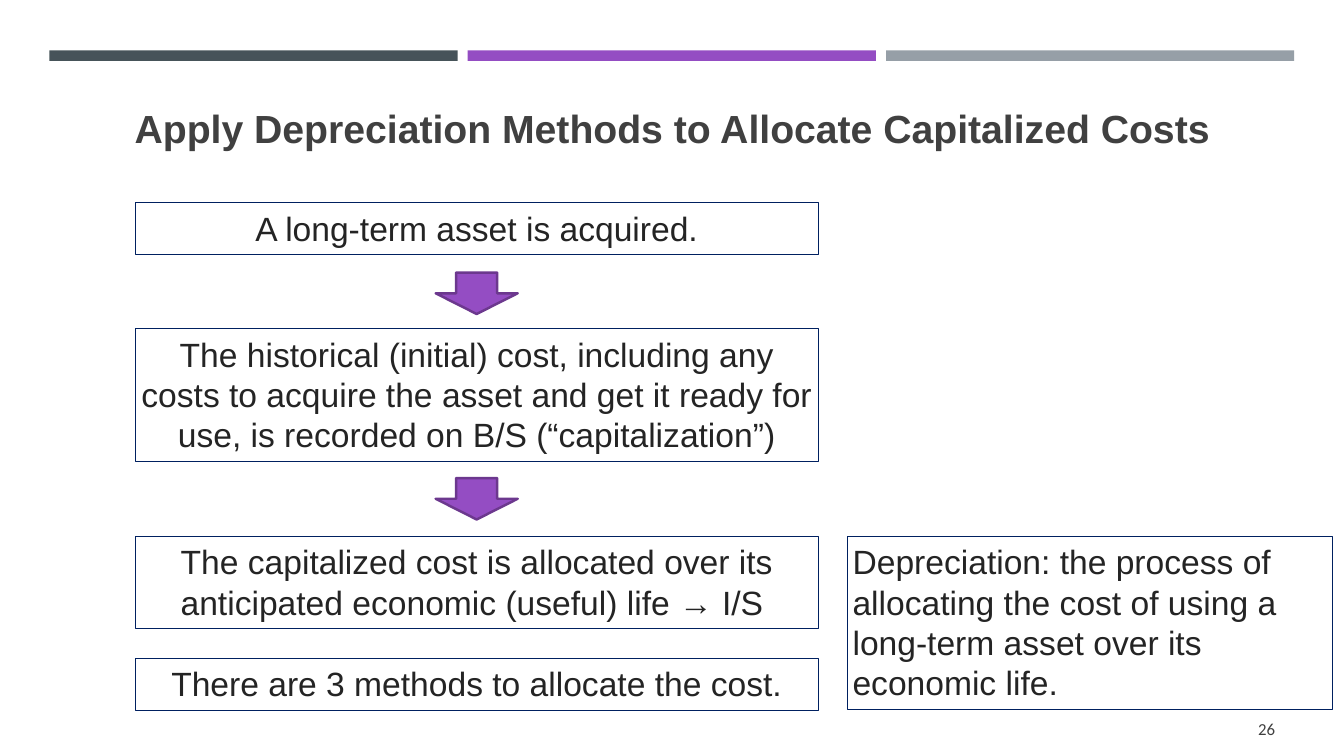
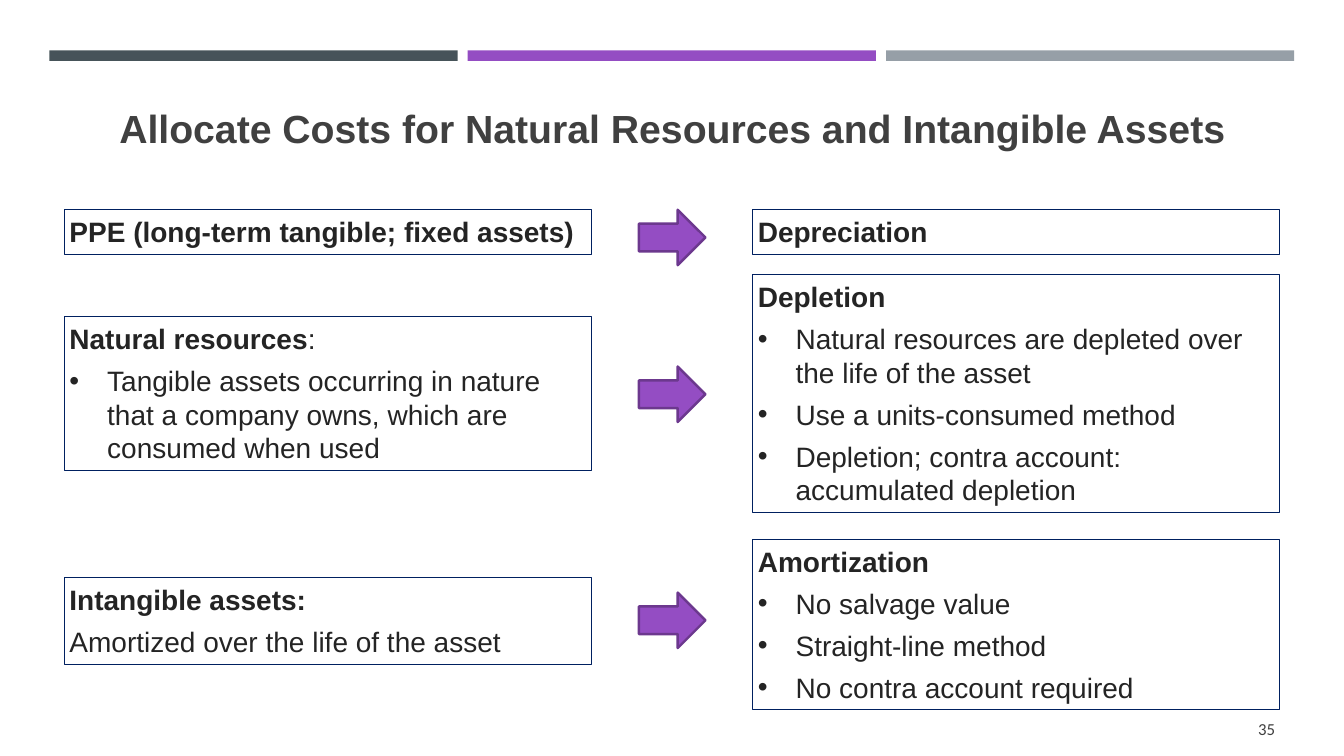
from lxml.etree import SubElement
from pptx import Presentation
from pptx.dml.color import RGBColor
from pptx.enum.shapes import MSO_SHAPE
from pptx.enum.text import MSO_ANCHOR, PP_ALIGN
from pptx.oxml.ns import qn
from pptx.util import Pt

HUES = {
    "slate": "465359", "purple": "944DC3", "gray": "969FA7",
    "plum": "6C388E", "navy": "002060", "title": "404040", "ink": "242424",
}
PAD = 3.6
LEFT, CENTER, RIGHT = PP_ALIGN.LEFT, PP_ALIGN.CENTER, PP_ALIGN.RIGHT


def hue(name):
    return RGBColor.from_string(HUES[name])


def points(box):
    return [Pt(round(n, 2)) for n in box]


def style(para, size, color, bold=False, face="Arial"):
    font = para.font
    font.name, font.size, font.bold = face, Pt(size), bold
    font.color.rgb = hue(color)


def add_frame(slide, box, anchor=MSO_ANCHOR.TOP):
    shape = slide.shapes.add_textbox(*points(box))
    frame = shape.text_frame
    frame.word_wrap = True
    frame.vertical_anchor = anchor
    frame.margin_left = frame.margin_right = Pt(PAD)
    frame.margin_top = frame.margin_bottom = Pt(PAD)
    return shape, frame


def add_label(slide, box, text, align, size, bold=False, face="Arial"):
    frame = add_frame(slide, box, MSO_ANCHOR.MIDDLE)[1]
    para = frame.paragraphs[0]
    para.text, para.alignment = text, align
    style(para, size, "title", bold, face)


def add_bullet(para):
    props = para._p.get_or_add_pPr()
    props.set("marL", str(Pt(27)))
    props.set("indent", str(-Pt(27)))
    SubElement(props, qn("a:buFont")).set("typeface", "Arial")
    SubElement(props, qn("a:buChar")).set("char", "•")


def add_card(slide, box, lines, size, align=LEFT):
    shape, frame = add_frame(slide, box)
    shape.line.color.rgb = hue("navy")
    shape.line.width = Pt(0.75)
    for i, (kind, text, *tail) in enumerate(lines):
        para = frame.add_paragraph() if i else frame.paragraphs[0]
        para.alignment = align
        para.space_before = Pt(6)
        if kind == "item":
            add_bullet(para)
        style(para, size, "ink", kind == "head")
        para.add_run().text = text
        for part in tail:
            run = para.add_run()
            run.text, run.font.bold = part, False


def add_arrow(slide, box, kind):
    shape = slide.shapes.add_shape(kind, *points(box))
    shape.shadow.inherit = False
    shape.fill.solid()
    shape.fill.fore_color.rgb = hue("purple")
    shape.line.color.rgb = hue("plum")
    shape.line.width = Pt(1.75)


def add_bands(slide, box):
    x, y, w, h = box
    gap = 7.2
    wide = (w - 2 * gap) / 3
    for i, name in enumerate(("slate", "purple", "gray")):
        spot = (x + i * (wide + gap), y, wide, h)
        band = slide.shapes.add_shape(MSO_SHAPE.RECTANGLE, *points(spot))
        band.shadow.inherit = False
        band.fill.solid()
        band.fill.fore_color.rgb = hue(name)
        band.line.fill.background()


def add_base(deck, title, page):
    slide = deck.slides.add_slide(deck.slide_layouts[6])
    add_bands(slide, (35.3, 36, 889.2, 7.5))
    add_label(slide, (46, 44.6, 868.3, 93.6), title, CENTER, 28, True)
    add_label(slide, (892.8, 509.8, 21.6, 20.9), page, RIGHT, 12, False, "Calibri")
    return slide


def add_flow(slide, box, steps, drops):
    x, y, w, h = box
    for top, high, text in steps:
        add_card(slide, (x, y + top, w, high), [("text", text)], 24, CENTER)
    wide, high = 58.6, 29.6
    for top in drops:
        spot = (x + (w - wide) / 2, y + top, wide, high)
        add_arrow(slide, spot, MSO_SHAPE.DOWN_ARROW)


def add_pairs(slide, box, rows):
    x, y, w, h = box
    card, wide, high = 376.6, 47.5, 39.6
    for left, mid, right in rows:
        for start, (top, tall, lines) in ((x, left), (x + w - card, right)):
            add_card(slide, (start, y + top, card, tall), lines, 20)
        spot = (x + (w - wide) / 2, y + mid, wide, high)
        add_arrow(slide, spot, MSO_SHAPE.RIGHT_ARROW)


STEPS = [
    (0, 37, "A long-term asset is acquired."),
    (90, 95, "The historical (initial) cost, including any costs to acquire the asset "
     "and get it ready for use, is recorded on B/S (“capitalization”)"),
    (238.4, 66, "The capitalized cost is allocated over its anticipated economic "
     "(useful) life → I/S "),
    (325.5, 37, "There are 3 methods to allocate the cost."),
]
NOTE = ("Depreciation: the process of allocating the cost of using a long-term asset "
        "over its economic life.")
ROWS = [
    ((0, 31.9, [("head", "PPE (long-term tangible; fixed assets)")]),
     0,
     (0, 31.9, [("head", "Depreciation")])),
    ((76.4, 110.1, [
        ("head", "Natural resources", ":"),
        ("item", "Tangible assets occurring in nature that a company owns, "
         "which are consumed when used")]),
     112,
     (46.4, 170, [
         ("head", "Depletion"),
         ("item", "Natural resources are depleted over the life of the asset"),
         ("item", "Use a units-consumed method"),
         ("item", "Depletion; contra account: accumulated depletion")])),
    ((262.8, 61.8, [
        ("head", "Intangible assets:"),
        ("text", "Amortized over the life of the asset")]),
     273.5,
     (235.6, 121.6, [
         ("head", "Amortization"),
         ("item", "No salvage value"),
         ("item", "Straight-line method"),
         ("item", "No contra account required")])),
]


def main():
    deck = Presentation()
    deck.slide_width, deck.slide_height = Pt(960), Pt(540)

    slide = add_base(deck, "Apply Depreciation Methods to Allocate Capitalized Costs", "26")
    add_flow(slide, (96.5, 144.7, 488, 362.5), STEPS, (50, 196.8))
    add_card(slide, (605.4, 383.1, 346.5, 123.8), [("text", NOTE)], 24)

    slide = add_base(deck, "Allocate Costs for Natural Resources and Intangible Assets", "35")
    add_pairs(slide, (46, 149.8, 868.3, 357.2), ROWS)

    deck.save("out.pptx")


if __name__ == "__main__":
    main()
